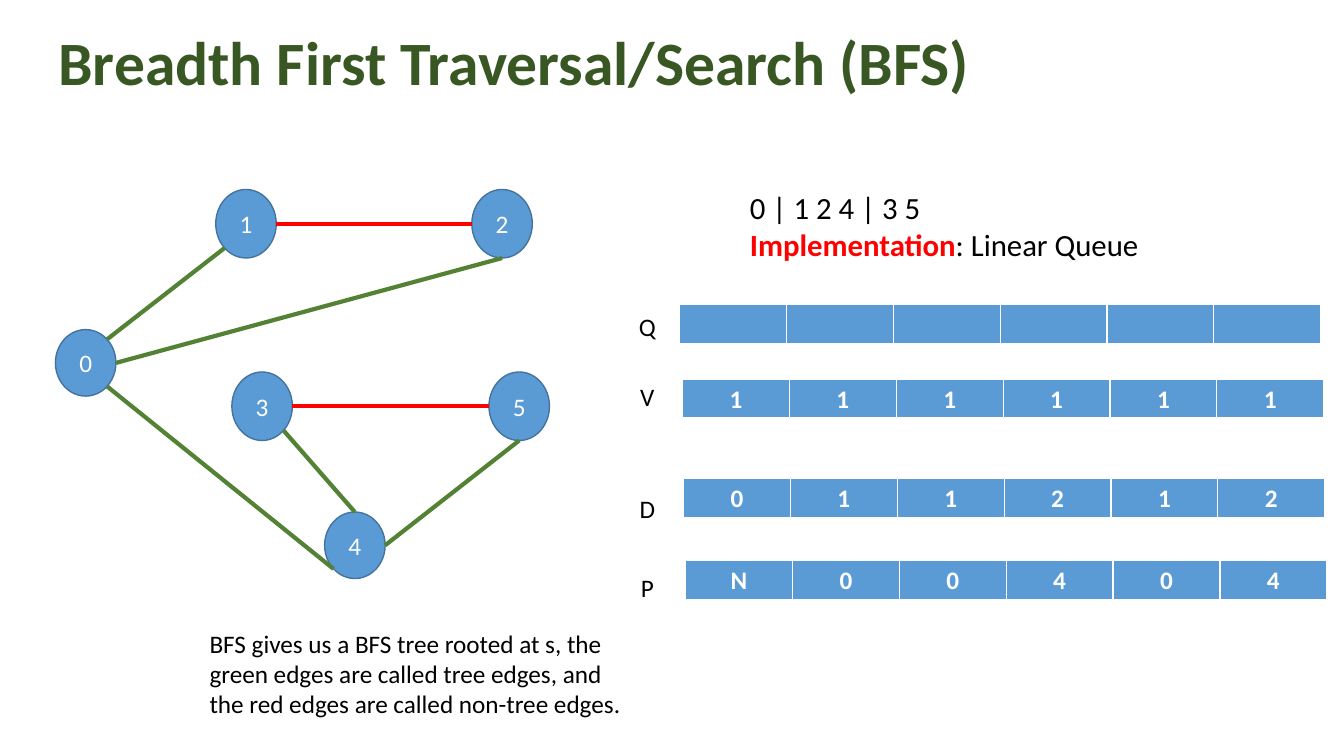
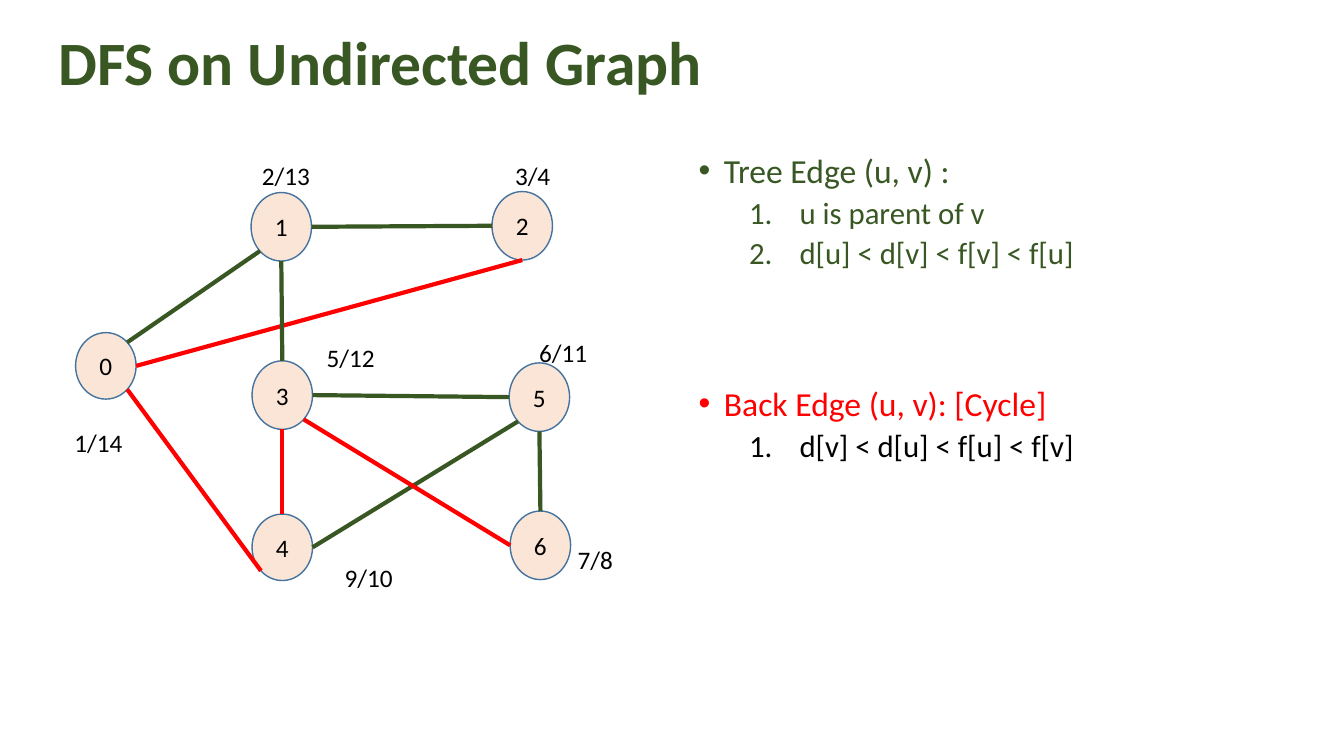
from math import sqrt

from lxml import etree
from pptx import Presentation
from pptx.dml.color import RGBColor
from pptx.enum import shapes, text
from pptx.oxml import ns
from pptx.util import Emu, Pt

PX = 9144
SLIDE = (1333, 750)


class Theme:
    font = "Calibri"
    title, point, subpoint, body = 44, 24, 22, 18
    dark_green, green, red = "385723", "548235", "FF0000"
    blue, outline, peach = "5B9BD5", "43739E", "FBE5D6"
    black, white = "000000", "FFFFFF"
    edge, node_line = 3, 1


T = Theme
TITLE_BOX = (48, 26, 1150, 79)
NODE_W = 60

BFS = {
    "title": "Breadth First Traversal/Search (BFS)",
    "node": (T.blue, T.white),
    "nodes": {
        "0": (55, 327, 66), "1": (214, 188, 68), "2": (468, 188, 68),
        "4": (322, 508, 66), "3": (230, 369, 68), "5": (485, 369, 68),
    },
    "edges": [
        (T.green, "0 TR", "1 BL"), (T.red, "1 R", "2 L"),
        (T.green, "0 BR", "4 BL"), (T.green, "3 BR", "4 T"),
        (T.green, "5 B", "4 R"), (T.green, "0 R", "2 B"),
        (T.red, "3 R", "5 L"),
    ],
}
ORDER_BOX = (734, 182, 503, 84)
ORDER = [
    [("0 | 1 2 4 | 3 5", T.black, False)],
    [("Implementation", T.red, True), (": Linear Queue", T.black, False)],
]
ARRAY_LABEL_X, ARRAY_LABEL_W, LABEL_H = 622, 40, 40
ARRAY_COL, ARRAY_ROW = 106, 38
ARRAYS = [
    ("Q", 304, (674, 302), [""] * 6),
    ("V", 373, (677, 376), "111111"),
    ("D", 484, (678, 475), "011212"),
    ("P", 563, (680, 556), "N00404"),
]
NOTE_BOX = (198, 618, 447, 101)
NOTE = ("BFS gives us a BFS tree rooted at s, the green edges are called tree "
        "edges, and the red edges are called non-tree edges.")

DFS = {
    "title": "DFS on Undirected Graph",
    "node": (T.peach, T.black),
    "nodes": {
        "0": (75, 330, 66), "1": (249, 191, 68), "2": (488, 190, 68),
        "4": (250, 510, 66), "3": (250, 358, 68), "5": (505, 360, 68),
        "6": (506, 507, 68),
    },
    "edges": [
        (T.dark_green, "0 TR", "1 BL"), (T.dark_green, "1 R", "2 L"),
        (T.red, "0 BR", "4 BL"), (T.red, "3 B", "4 T"),
        (T.dark_green, "5 BL", "4 R"), (T.red, "0 R", "2 B"),
        (T.dark_green, "3 R", "5 L"), (T.dark_green, "3 T", "1 B"),
        (T.dark_green, "5 B", "6 T"), (T.red, "6 L", "3 BR"),
    ],
}
TIMES = [
    ("1/14", 64, 419, 72), ("2/13", 250, 154, 82), ("3/4", 501, 154, 73),
    ("9/10", 332, 553, 72), ("6/11", 525, 330, 96), ("5/12", 314, 335, 72),
    ("7/8", 563, 535, 96),
]
RULES_BOX = (683, 148, 574, 528)
RULES = [
    (0, "Tree Edge (u, v) :", T.dark_green, 10),
    (1, "u is parent of v", T.dark_green, 5),
    (1, "d[u] < d[v] < f[v] < f[u]", T.dark_green, 5),
    (0, "Back Edge (u, v): [Cycle]", T.red, 83),
    (1, "d[v] < d[u] < f[u] < f[v]", T.black, 5),
]
BULLETS = [
    (T.point, 25, -25, "buChar", {"char": "•"}),
    (T.subpoint, 100, -50, "buAutoNum", {"type": "arabicPeriod"}),
]

D = 1 / sqrt(2)
SITES = {
    "T": (0, 0, -1), "TL": (1, -D, -D), "L": (2, -1, 0), "BL": (3, -D, D),
    "B": (4, 0, 1), "BR": (5, D, D), "R": (6, 1, 0), "TR": (7, D, -D),
}


def px(*lengths):
    return [Emu(round(n * PX)) for n in lengths]


def rgb(value):
    return RGBColor.from_string(value)


def assign(target, **values):
    for name, value in values.items():
        setattr(target, name, value)


def add_run(p, words, size, color, bold=False):
    r = p.add_run()
    r.text = words
    assign(r.font, name=T.font, size=Pt(size), bold=bold)
    r.font.color.rgb = rgb(color)


def place(sp, box):
    assign(sp, **dict(zip(("left", "top", "width", "height"), px(*box))))


def add_text(slide, box, paragraphs, size=T.body, align=text.PP_ALIGN.LEFT):
    tf = slide.shapes.add_textbox(*px(*box)).text_frame
    assign(tf, word_wrap=True, auto_size=text.MSO_AUTO_SIZE.SHAPE_TO_FIT_TEXT)
    for i, runs in enumerate(paragraphs):
        p = tf.add_paragraph() if i else tf.paragraphs[0]
        p.alignment = align
        for words, color, bold in runs:
            add_run(p, words, size, color, bold)


def add_title(slide, words):
    sp = slide.shapes.title
    place(sp, TITLE_BOX)
    tf = sp.text_frame
    assign(tf, vertical_anchor=text.MSO_ANCHOR.MIDDLE, word_wrap=True,
           auto_size=text.MSO_AUTO_SIZE.NONE)
    p = tf.paragraphs[0]
    assign(p, alignment=text.PP_ALIGN.LEFT, line_spacing=0.9)
    add_run(p, words, T.title, T.dark_green, True)


def add_node(slide, name, x, y, h, fill, color):
    sp = slide.shapes.add_shape(shapes.MSO_SHAPE.OVAL, *px(x, y, NODE_W, h))
    sp.shadow.inherit = False
    sp.fill.solid()
    sp.fill.fore_color.rgb = rgb(fill)
    sp.line.color.rgb = rgb(T.outline)
    sp.line.width = Pt(T.node_line)
    sp.text_frame.vertical_anchor = text.MSO_ANCHOR.MIDDLE
    p = sp.text_frame.paragraphs[0]
    p.alignment = text.PP_ALIGN.CENTER
    add_run(p, name, T.body, color)
    return sp


def add_edge(slide, nodes, color, *ends):
    points, glue = [], []
    for tag, end in zip(("a:stCxn", "a:endCxn"), ends):
        name, site = end.split()
        sp = nodes[name]
        index, dx, dy = SITES[site]
        points += [Emu(round(sp.left + sp.width * (1 + dx) / 2)),
                   Emu(round(sp.top + sp.height * (1 + dy) / 2))]
        glue.append((tag, sp.shape_id, index))
    line = slide.shapes.add_connector(shapes.MSO_CONNECTOR.STRAIGHT, *points)
    line.line.color.rgb = rgb(color)
    line.line.width = Pt(T.edge)
    el = line._element
    etree.SubElement(el.spPr, ns.qn("a:effectLst"))
    for tag, shape_id, index in glue:
        etree.SubElement(el.nvCxnSpPr.cNvCxnSpPr, ns.qn(tag),
                         id=str(shape_id), idx=str(index))


def add_graph_slide(prs, graph, layout):
    slide = prs.slides.add_slide(prs.slide_layouts.get_by_name(layout))
    add_title(slide, graph["title"])
    nodes = {name: add_node(slide, name, *spot, *graph["node"])
             for name, spot in graph["nodes"].items()}
    for edge in graph["edges"]:
        add_edge(slide, nodes, *edge)
    return slide


def set_borders(cell):
    pr = cell._tc.get_or_add_tcPr()
    for i, (side, width) in enumerate((("L", 1), ("R", 1), ("T", 1), ("B", 3))):
        ln = etree.Element(ns.qn("a:ln" + side), w=str(Pt(width)))
        fill = etree.SubElement(ln, ns.qn("a:solidFill"))
        etree.SubElement(fill, ns.qn("a:srgbClr"), val=T.white)
        pr.insert(i, ln)


def add_array(slide, x, y, values):
    width = ARRAY_COL * len(values)
    table = slide.shapes.add_table(
        1, len(values), *px(x, y, width, ARRAY_ROW)).table
    table.horz_banding = False
    for cell, value in zip(table.rows[0].cells, values):
        cell.fill.solid()
        cell.fill.fore_color.rgb = rgb(T.blue)
        set_borders(cell)
        p = cell.text_frame.paragraphs[0]
        p.alignment = text.PP_ALIGN.CENTER
        if value:
            add_run(p, value, T.body, T.white, True)


def add_rules(slide):
    sp = slide.placeholders[1]
    place(sp, RULES_BOX)
    tf = sp.text_frame
    assign(tf, auto_size=text.MSO_AUTO_SIZE.NONE, word_wrap=True,
           vertical_anchor=text.MSO_ANCHOR.TOP)
    for i, (level, words, color, before) in enumerate(RULES):
        size, margin, indent, bullet, kind = BULLETS[level]
        p = tf.add_paragraph() if i else tf.paragraphs[0]
        assign(p, level=level, line_spacing=0.9, space_before=Pt(before))
        pr = p._p.get_or_add_pPr()
        pr.set("marL", str(margin * PX))
        pr.set("indent", str(indent * PX))
        etree.SubElement(pr, ns.qn("a:" + bullet), **kind)
        add_run(p, words, size, color)


def main():
    prs = Presentation()
    prs.slide_width, prs.slide_height = px(*SLIDE)

    slide = add_graph_slide(prs, BFS, "Title Only")
    add_text(slide, ORDER_BOX, ORDER, T.subpoint)
    for name, label_y, (x, y), values in ARRAYS:
        add_array(slide, x, y, values)
        add_text(slide, (ARRAY_LABEL_X, label_y, ARRAY_LABEL_W, LABEL_H),
                 [[(name, T.black, False)]], align=text.PP_ALIGN.CENTER)
    add_text(slide, NOTE_BOX, [[(NOTE, T.black, False)]])

    slide = add_graph_slide(prs, DFS, "Title and Content")
    add_rules(slide)
    for words, x, y, w in TIMES:
        add_text(slide, (x, y, w, LABEL_H), [[(words, T.black, False)]])

    prs.save("out.pptx")


if __name__ == "__main__":
    main()
